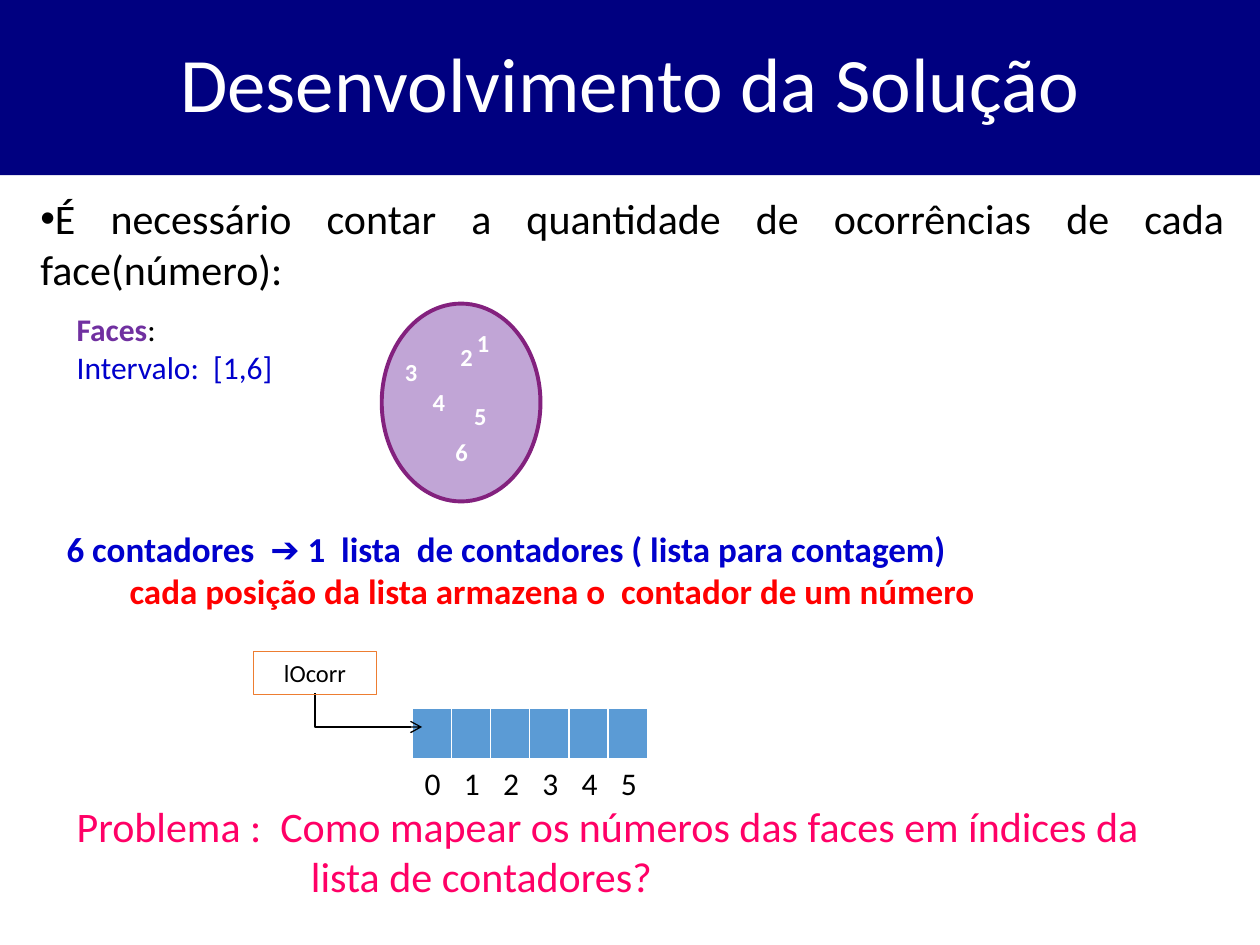
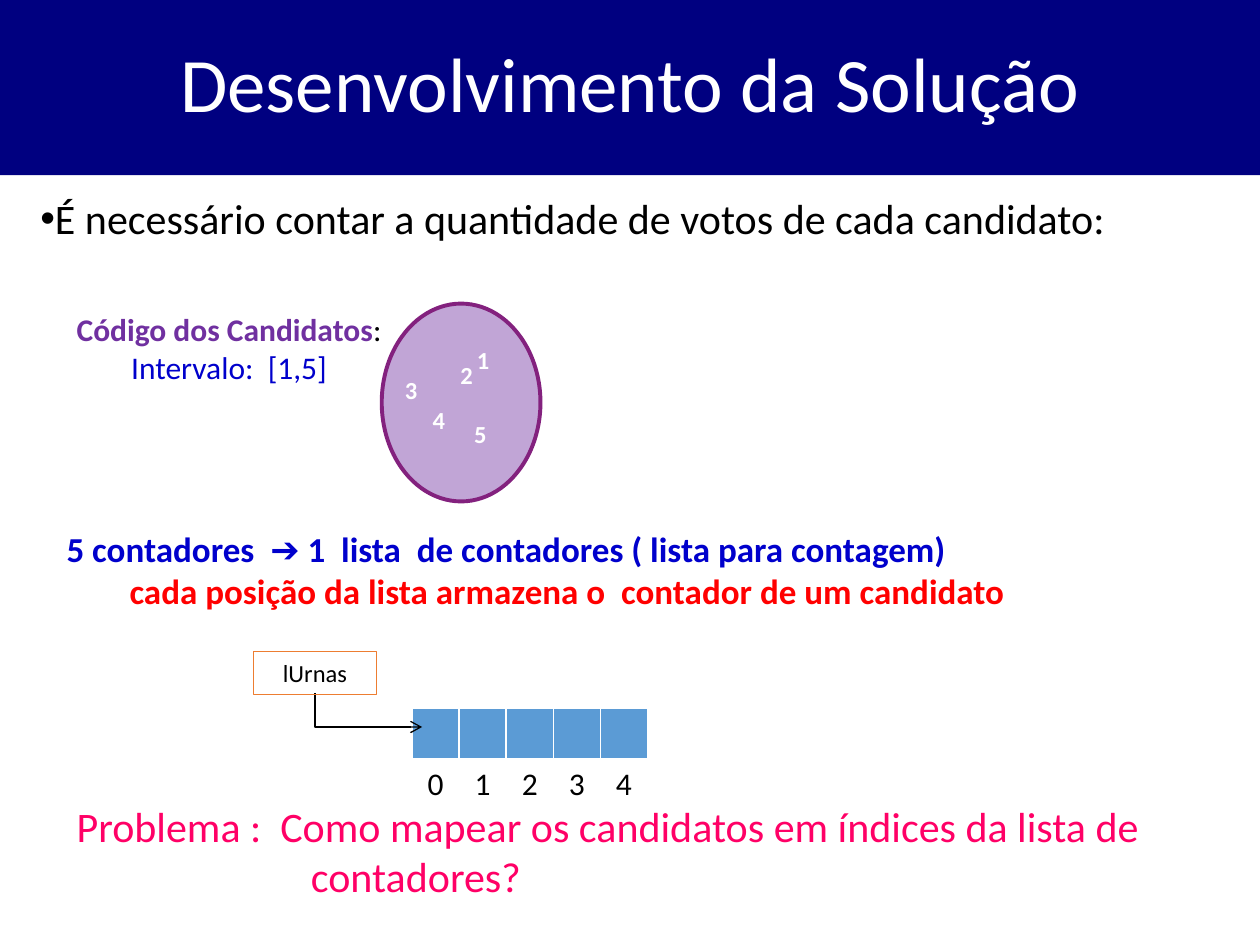
from pptx import Presentation
from pptx import util as u
from pptx.dml.color import RGBColor
from pptx.enum import shapes, text
from pptx.oxml.ns import qn
from lxml import etree

px = 9144
mid = text.PP_ALIGN.CENTER
just = text.PP_ALIGN.JUSTIFY
grow = text.MSO_AUTO_SIZE.SHAPE_TO_FIT_TEXT
fixed = text.MSO_AUTO_SIZE.NONE
center = text.MSO_ANCHOR.MIDDLE

navy, white, black = "000080", "FFFFFF", "000000"
purple, blue, red, pink = "7030A0", "0000CC", "FF0000", "FF0066"
plum, sky, orange = "83217E", "5B9BD5", "ED7D31"


def color(part, code):
    if hasattr(part, "solid"):
        part.solid()
        part = part.fore_color
    elif hasattr(part, "fill"):
        part.fill.solid()
        part = part.fill.fore_color
    part.rgb = RGBColor.from_string(code)


def write(par, words, size, code, bold=False, left=0, hang=0, **form):
    run = par.add_run()
    run.text = words
    for key, val in dict(name="Calibri", size=u.Pt(size), bold=bold).items():
        setattr(run.font, key, val)
    color(run.font.color, code)
    props = par._p.get_or_add_pPr()
    props.set("marL", str(left * px))
    props.set("indent", str(-hang * px))
    for key, val in form.items():
        setattr(par, key, val)


pages = [
    dict(count=6, name="lOcorr", unit="número", label="Faces", wide=191, drop=0,
         task="É necessário contar a quantidade de ocorrências de cada face(número):",
         ask="Problema :  Como mapear os números das faces em índices da lista de contadores?"),
    dict(count=5, name="lUrnas", unit="candidato", label="Código dos Candidatos", wide=265, drop=0,
         task="É necessário contar a quantidade de votos de cada candidato:",
         ask="Problema :  Como mapear os candidatos em índices da lista de contadores?"),
]
marks = [(57, 0), (44, 0), (0, 0), (22, 8.5), (55, 0), (40, 12)]

deck = Presentation()
deck.slide_width, deck.slide_height = 1000 * px, 750 * px

for page in pages:
    count = page["count"]
    slide = deck.slides.add_slide(deck.slide_layouts[1])
    title, body = slide.placeholders
    places = [(title, (0, 0, 1000, 139)), (body, (22, 148, 960, 569))]
    for shape, spot in places:
        for key, val in zip(("left", "top", "width", "height"), spot):
            setattr(shape, key, val * px)
        shape.text_frame.auto_size = fixed
    color(title.fill, navy)
    title.text_frame.vertical_anchor = center
    write(title.text_frame.paragraphs[0], "Desenvolvimento da Solução", 44, white,
          alignment=mid, line_spacing=0.9)
    write(body.text_frame.paragraphs[0], page["task"], 24, black,
          alignment=just, space_before=u.Pt(10))

    grid = slide.shapes.add_table(2, count, 327 * px, 562 * px, 187 * px, 81 * px).table
    for col in range(count):
        grid.columns[col].width = 187 * px // count
        top, low = grid.cell(0, col), grid.cell(1, col)
        color(top.fill, sky)
        low.fill.background()
        write(low.text_frame.paragraphs[0], str(col), 18, black, alignment=mid)
        for cell in (top, low):
            props = cell._tc.get_or_add_tcPr()
            for spot, side in enumerate(("lnL", "lnR", "lnT", "lnB")):
                edge = etree.Element(qn("a:" + side), w=str(u.Pt(1)))
                fill = etree.SubElement(edge, qn("a:solidFill"))
                etree.SubElement(fill, qn("a:srgbClr"), val=white)
                props.insert(spot, edge)

    arrow = slide.shapes.add_connector(shapes.MSO_CONNECTOR.ELBOW,
                                       279 * px, 521 * px, 306 * px, 606 * px)
    color(arrow.line, black)
    arrow.line.width = u.Pt(0.75)
    props = arrow._element.spPr
    frame = props.find(qn("a:xfrm"))
    frame.set("rot", "16200000")
    frame.set("flipH", "1")
    props.find(qn("a:prstGeom")).set("prst", "bentConnector2")
    etree.SubElement(props.find(qn("a:ln")), qn("a:tailEnd"), type="arrow")
    etree.SubElement(props, qn("a:effectLst"))

    tag = slide.shapes.add_shape(shapes.MSO_SHAPE.RECTANGLE,
                                 201 * px, 517 * px, 98 * px, 34 * px)
    tag.shadow.inherit = False
    tag.fill.background()
    color(tag.line, orange)
    tag.line.width = u.Pt(0.75)
    tag.text_frame.auto_size = grow
    write(tag.text_frame.paragraphs[0], page["name"], 14, black, alignment=mid)

    plan = slide.shapes.add_textbox(43 * px, 414 * px, 827 * px, 77 * px).text_frame
    plan.word_wrap, plan.auto_size = True, grow
    write(plan.paragraphs[0],
          f"{count} contadores  ➔ 1  lista  de contadores ( lista para contagem)", 20, blue, True)
    write(plan.add_paragraph(),
          f"cada posição da lista armazena o  contador de um {page['unit']}", 20, red, True, 50)

    oval = slide.shapes.add_shape(shapes.MSO_SHAPE.OVAL,
                                  303 * px, 241 * px, 126 * px, 157 * px)
    oval.shadow.inherit = False
    color(oval.fill, purple)
    tint = oval._element.spPr.find(qn("a:solidFill"))[0]
    etree.SubElement(tint, qn("a:alpha"), val="43000")
    color(oval.line, plum)
    oval.line.width = u.Pt(2.25)
    inner = oval.text_frame
    form = dict(margin_left=0, margin_top=0, margin_right=0, margin_bottom=0,
                vertical_anchor=center)
    for key, val in form.items():
        setattr(inner, key, val)
    for num, (left, gap) in enumerate(marks[:count], 1):
        par = inner.paragraphs[0] if num == 1 else inner.add_paragraph()
        write(par, str(num), 14, white, True, left, alignment=text.PP_ALIGN.LEFT,
              line_spacing=0.5, space_before=u.Pt(gap))

    note = slide.shapes.add_textbox(51 * px, 241 * px, page["wide"] * px, 101 * px).text_frame
    note.word_wrap, note.auto_size = False, grow
    write(note.paragraphs[0], page["label"], 18, purple, True)
    write(note.paragraphs[0], ":", 18, black)
    write(note.add_paragraph(), f"Intervalo:  [1,{count}]", 18, blue, alignment=mid)

    ask = slide.shapes.add_textbox(51 * px, 600 * px, 882 * px, 150 * px).text_frame
    ask.word_wrap, ask.vertical_anchor = True, center
    write(ask.paragraphs[0], page["ask"], 24, pink, left=186, hang=186)

deck.save("out.pptx")
